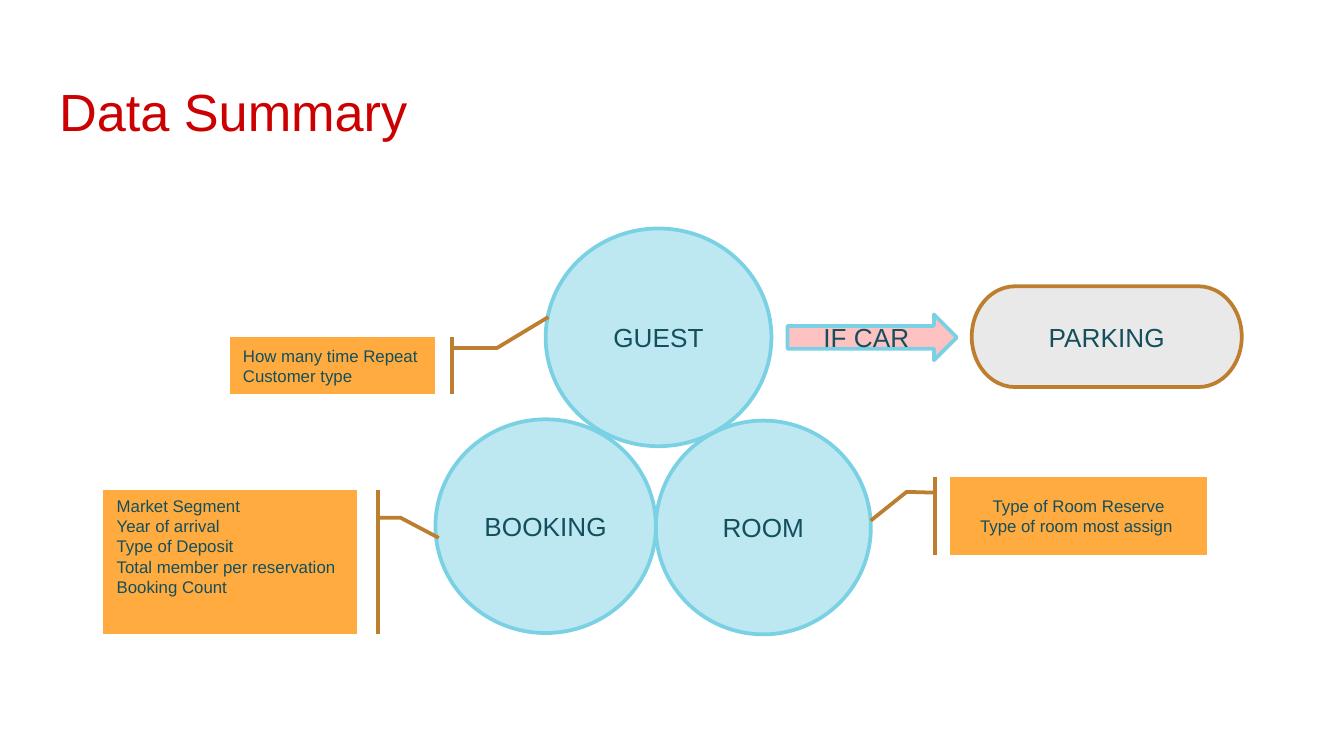
import pptx
import pptx.dml.color
import pptx.enum.shapes
import pptx.enum.text
import pptx.util

Inches = pptx.util.Inches
SHAPE = pptx.enum.shapes.MSO_SHAPE
ALIGN = pptx.enum.text.PP_ALIGN
ANCHOR = pptx.enum.text.MSO_ANCHOR

TEAL, SKY, PALE_SKY = "134F5C", "7BD1E4", "BDE8F1"
BROWN, ORANGE = "BD7F2F", "FFAB40"


def rgb(color):
    return pptx.dml.color.RGBColor.from_string(color)


def write(sp, text, size=14, color=TEAL, align=ALIGN.CENTER,
          anchor=ANCHOR.MIDDLE, bottom=0.1):
    """Fill the shape with one paragraph; newlines become line breaks."""
    tf = sp.text_frame
    tf.word_wrap = True
    tf.auto_size = pptx.enum.text.MSO_AUTO_SIZE.NONE
    tf.vertical_anchor = anchor
    tf.margin_left = tf.margin_right = tf.margin_top = Inches(0.1)
    tf.margin_bottom = Inches(bottom)
    p = tf.paragraphs[0]
    p.text = text
    p.alignment = align
    for r in p.runs:
        r.font.size = pptx.util.Pt(size)
        r.font.name = "Arial"
        r.font.color.rgb = rgb(color)


def add_title(slide, text):
    sp = slide.shapes.title
    sp.left, sp.top = Inches(0.34), Inches(0.49)
    sp.width, sp.height = Inches(9.32), Inches(0.63)
    write(sp, text, size=28, color="CC0000", align=ALIGN.LEFT,
          anchor=ANCHOR.TOP)


def add_box(slide, kind, at, text, fill, line, **text_format):
    sp = slide.shapes.add_shape(kind, *map(Inches, at))
    sp.shadow.inherit = False
    sp.fill.solid()
    sp.fill.fore_color.rgb = rgb(fill)
    sp.line.color.rgb = rgb(line)
    sp.line.width = pptx.util.Pt(2)
    write(sp, text, **text_format)
    return sp


def add_callout(slide, at, text, leader, flip=False, **text_format):
    """leader lists y, x of its start, bend and end as shares of the box."""
    sp = add_box(slide, SHAPE.LINE_CALLOUT_2_ACCENT_BAR, at, text,
                 ORANGE, BROWN, size=9, **text_format)
    for i, value in enumerate(leader):
        sp.adjustments[i] = value
    if flip:
        sp._element.spPr.xfrm.set("flipH", "1")


def main():
    prs = pptx.Presentation()
    prs.slide_width = Inches(10)
    prs.slide_height = prs.slide_width * 9 // 16
    slide = prs.slides.add_slide(prs.slide_layouts[5])
    add_title(slide, "Data Summary")

    for text, at in (("GUEST", (4.06, 1.7, 1.68, 1.62)),
                     ("ROOM", (4.88, 3.13, 1.6, 1.59)),
                     ("BOOKING", (3.24, 3.12, 1.64, 1.59))):
        add_box(slide, SHAPE.OVAL, at, text, PALE_SKY, SKY)
    add_box(slide, SHAPE.FLOWCHART_TERMINATOR, (7.23, 2.13, 2.01, 0.75),
            "PARKING", "E9E9E9", BROWN)
    add_box(slide, SHAPE.RIGHT_ARROW, (5.86, 2.34, 1.26, 0.34),
            "IF CAR", "FFC2C2", SKY)

    add_callout(slide, (0.77, 3.65, 1.89, 1.07),
                "Market Segment\nYear of arrival\nType of Deposit\n"
                "Total member per reservation\nBooking Count",
                (0.19, -0.08, 0.19, -0.17, 0.33, -0.32),
                flip=True, align=ALIGN.LEFT, bottom=0.34)
    add_callout(slide, (7.07, 3.55, 1.91, 0.58),
                "Type of Room Reserve\nType of room most assign ",
                (0.2, -0.06, 0.19, -0.17, 0.56, -0.31))
    add_callout(slide, (1.71, 2.51, 1.53, 0.42),
                "How many time Repeat\nCustomer type",
                (0.19, -0.08, 0.19, -0.3, -0.36, -0.55),
                flip=True, align=ALIGN.LEFT)
    prs.save("out.pptx")


if __name__ == "__main__":
    main()
